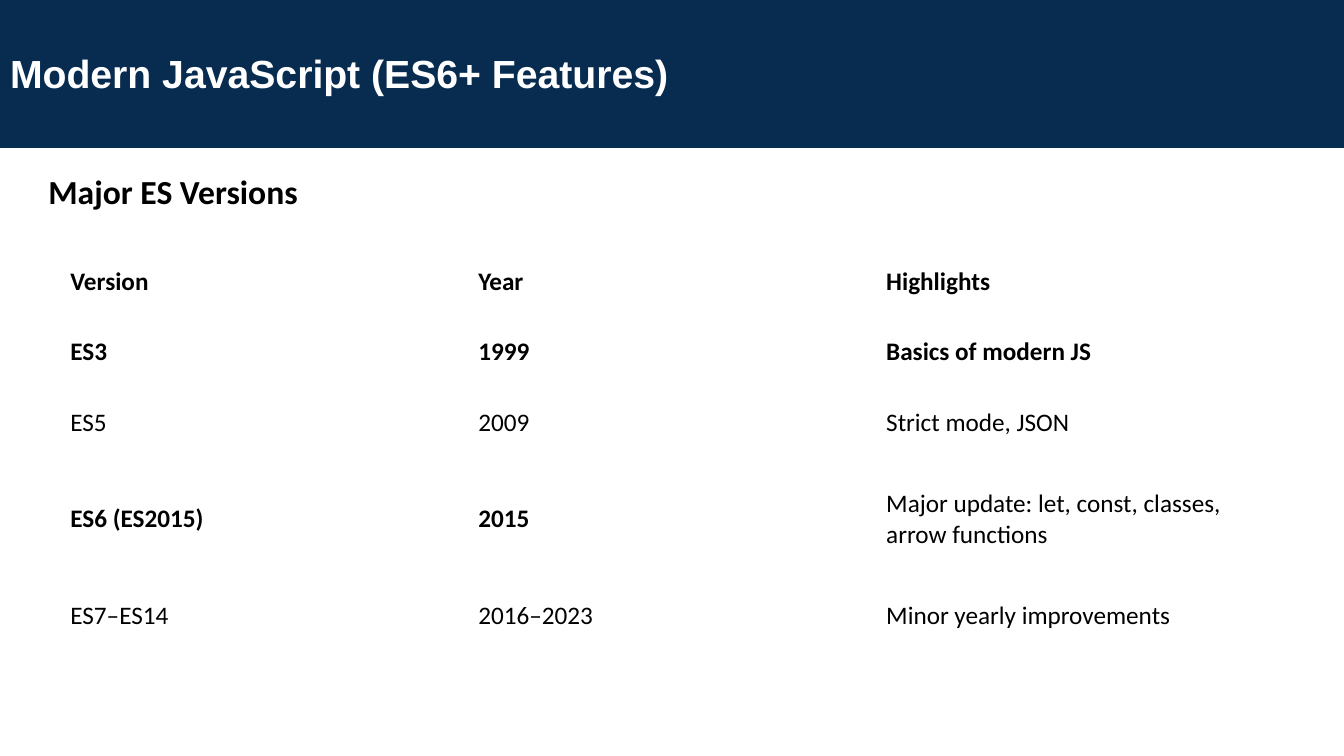
import pptx
import pptx.util
import pptx.dml.color
import pptx.enum.text

Cm = pptx.util.Cm
Pt = pptx.util.Pt
NAVY = pptx.dml.color.RGBColor(0x07, 0x2C, 0x4F)
WHITE = pptx.dml.color.RGBColor(0xFF, 0xFF, 0xFF)
BLACK = pptx.dml.color.RGBColor(0x00, 0x00, 0x00)
MIDDLE = pptx.enum.text.MSO_ANCHOR.MIDDLE


def add_text(frame, text, size, face, color, bold):
    para = frame.paragraphs[0]
    para.alignment = pptx.enum.text.PP_ALIGN.LEFT
    run = para.add_run()
    run.text = text
    run.font.size = Pt(size)
    run.font.name = face
    run.font.color.rgb = color
    run.font.bold = bold


deck = pptx.Presentation()
deck.slide_width = Cm(33.87)
deck.slide_height = Cm(19.05)
slide = deck.slides.add_slide(deck.slide_layouts[5])

# Title banner
title = slide.shapes.title
title.left, title.top = Cm(0), Cm(-0.05)
title.width, title.height = Cm(33.87), Cm(3.78)
title.fill.solid()
title.fill.fore_color.rgb = NAVY
frame = title.text_frame
frame.auto_size = pptx.enum.text.MSO_AUTO_SIZE.NONE
frame.vertical_anchor = MIDDLE
add_text(frame, "Modern JavaScript (ES6+ Features)", 28, "Arial", WHITE, True)

# Heading
head = slide.shapes.add_textbox(Cm(0.97), Cm(4.17), Cm(17.12), Cm(1.27))
head.text_frame.word_wrap = True
head.text_frame.auto_size = pptx.enum.text.MSO_AUTO_SIZE.SHAPE_TO_FIT_TEXT
add_text(head.text_frame, "Major ES Versions", 24, "Calibri", BLACK, True)

# Version table: row height, number of leading bold cells, texts
rows = [
    (1.77, 3, ["Version", "Year", "Highlights"]),
    (1.77, 3, ["ES3", "1999", "Basics of modern JS"]),
    (1.77, 0, ["ES5", "2009", "Strict mode, JSON"]),
    (3.1, 2, ["ES6 (ES2015)", "2015",
              "Major update: let, const, classes, arrow functions"]),
    (1.77, 0, ["ES7–ES14", "2016–2023", "Minor yearly improvements"]),
]
grid = slide.shapes.add_table(len(rows), 3, Cm(1.52), Cm(6.22),
                              Cm(30.84), Cm(10.18)).table
grid.first_row = False
grid.horz_banding = False
for col in grid.columns:
    col.width = Cm(10.28)
for r, (height, bolds, texts) in enumerate(rows):
    grid.rows[r].height = Cm(height)
    for c, text in enumerate(texts):
        cell = grid.cell(r, c)
        cell.fill.background()
        cell.vertical_anchor = MIDDLE
        add_text(cell.text_frame, text, 18, "Calibri", BLACK, c < bolds)

deck.save("out.pptx")
